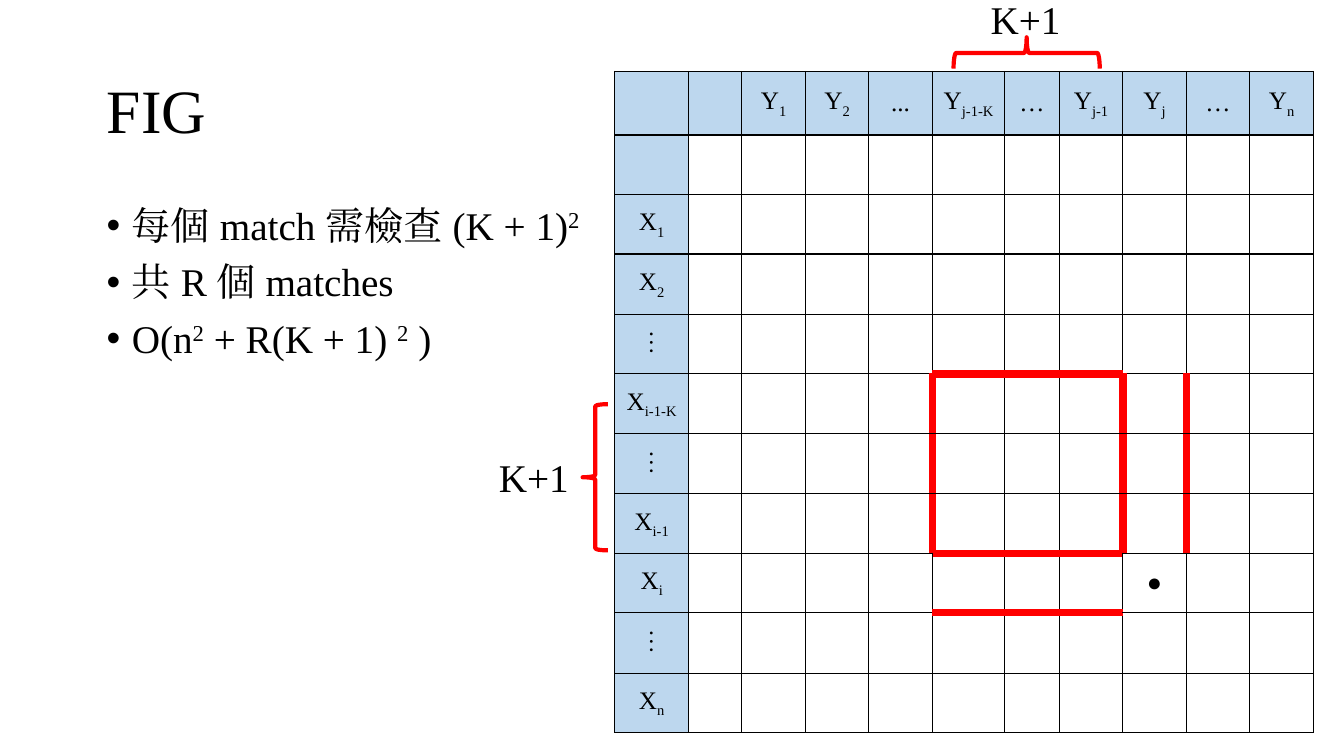
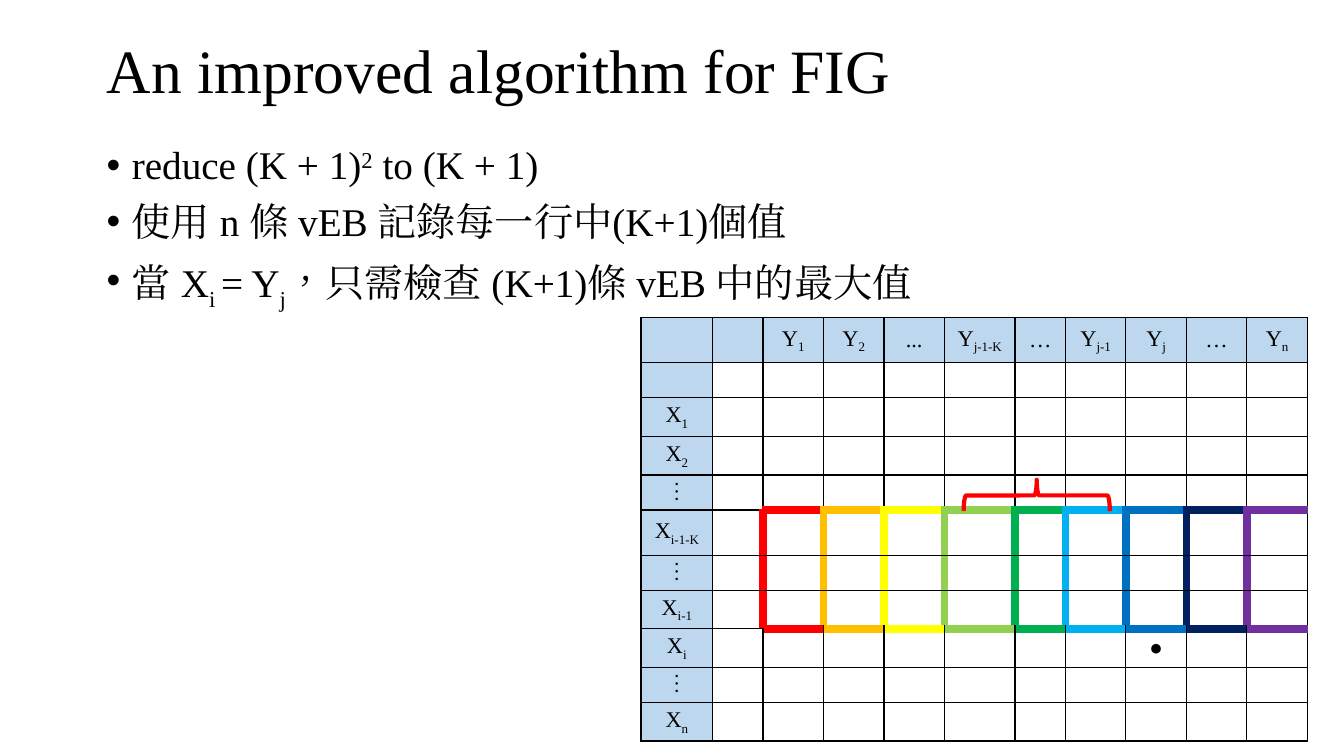
from lxml import etree
from pptx import Presentation
from pptx.dml.color import RGBColor
from pptx.enum.shapes import MSO_SHAPE
from pptx.enum.text import MSO_ANCHOR, MSO_AUTO_SIZE, PP_ALIGN
from pptx.oxml.ns import qn
from pptx.util import Emu, Pt

LEFT, CENTER = PP_ALIGN.LEFT, PP_ALIGN.CENTER
MIDDLE = MSO_ANCHOR.MIDDLE
BRACE = MSO_SHAPE.LEFT_BRACE
NO_FIT = MSO_AUTO_SIZE.NONE

SCALE = 9144  # EMU in one px, 100 px to the inch
FONT = "Times New Roman"
HEX = {
    "ink": "000000", "paper": "FFFFFF", "head": "BDD7EE",
    "red": "FF0000", "orange": "FFC000", "yellow": "FFFF00",
    "lime": "92D050", "green": "00B050", "sky": "00B0F0",
    "blue": "0070C0", "navy": "002060", "purple": "7030A0",
}
BANDS = ["red", "orange", "yellow", "lime", "green", "sky", "blue", "navy", "purple"]

# Text marks: ^ starts superscript, _ starts subscript, | returns to the line
SHIFTS = {"^": 30000, "_": -25000, "|": 0}
TOPS = ["", "", "Y_1", "Y_2", "...", "Y_j-1-K", "…", "Y_j-1", "Y_j", "…", "Y_n"]
SIDES = ["", "", "X_1", "X_2", "⋮", "X_i-1-K", "⋮", "X_i-1", "X_i", "⋮", "X_n"]
DOT = (8, 8)
BLOCK = range(5, 8)  # rows or columns of the K+1 window


def px(n):
    return Emu(n * SCALE)


def rgb(name):
    return RGBColor.from_string(HEX[name])


def split(text):
    """Yield (piece, baseline shift) for marked text."""
    piece, shift = "", 0
    for char in text:
        if char in SHIFTS:
            if piece:
                yield piece, shift
            piece, shift = "", SHIFTS[char]
        else:
            piece += char
    if piece:
        yield piece, shift


def write(frame, *lines, size=28, align=LEFT, bullet=False, lead=1.0, gap=0):
    for i, line in enumerate(lines):
        para = frame.paragraphs[0] if i == 0 else frame.add_paragraph()
        if bullet:
            props = para._p.get_or_add_pPr()
            props.set("marL", str(px(25)))
            props.set("indent", str(px(-25)))
            etree.SubElement(props, qn("a:buFont")).set("typeface", "Arial")
            etree.SubElement(props, qn("a:buChar")).set("char", "•")
        para.alignment = align
        para.line_spacing = lead
        para.space_before = Pt(gap if i else 0)
        for piece, shift in split(line):
            run = para.add_run()
            run.text = piece
            run.font.size = Pt(size)
            run.font.name = FONT
            run.font.color.rgb = rgb("ink")
            props = run._r.get_or_add_rPr()
            props.set("lang", "zh-TW")
            if shift:
                props.set("baseline", str(shift))
            etree.SubElement(props, qn("a:ea")).set("typeface", FONT)
        if not line:
            end = etree.SubElement(para._p, qn("a:endParaRPr"))
            end.set("sz", str(size * 100))
            etree.SubElement(end, qn("a:latin")).set("typeface", FONT)


def add_page(deck, title, top):
    page = deck.slides.add_slide(deck.slide_layouts[5])
    head = page.shapes.title
    head.left, head.top, head.width, head.height = map(px, (96, top, 1150, 145))
    frame = head.text_frame
    frame.auto_size = NO_FIT
    frame.vertical_anchor = MIDDLE
    write(frame, title, size=44, lead=0.9)
    return page


def add_text(page, x, y, w, h, *lines, wrap=True, **form):
    frame = page.shapes.add_textbox(px(x), px(y), px(w), px(h)).text_frame
    frame.word_wrap = wrap
    write(frame, *lines, **form)


def add_list(page, top, *lines):
    add_text(page, 96, top, 1150, 476, *lines, bullet=True, lead=0.9, gap=10)


def add_brace(page, x, y, w, turn=0):
    brace = page.shapes.add_shape(BRACE, px(x), px(y), px(w), px(145))
    brace.rotation = turn
    brace.shadow.inherit = False
    brace.fill.background()
    brace.line.color.rgb = rgb("red")
    brace.line.width = Pt(3)


# Grid edges: each thick line belongs to the cells on both sides of it
def across(edges, row, cols, color):
    for col in cols:
        edges[row, col, "T"] = edges[row - 1, col, "B"] = color


def down(edges, col, rows, color):
    for row in rows:
        edges[row, col, "L"] = edges[row, col - 1, "R"] = color


def set_edge(cell, side, color, width):
    line = etree.SubElement(cell._tc.get_or_add_tcPr(), qn("a:ln" + side))
    line.set("w", str(Pt(width)))
    fill = etree.SubElement(line, qn("a:solidFill"))
    etree.SubElement(fill, qn("a:srgbClr")).set("val", HEX[color])


def add_grid(page, x, y, cols, rows, size, edges):
    table = page.shapes.add_table(len(rows), len(cols), px(x), px(y),
                                  px(sum(cols)), px(sum(rows))).table
    table.first_row = table.horz_banding = False
    for col, width in zip(table.columns, cols):
        col.width = px(width)
    for r, height in enumerate(rows):
        table.rows[r].height = px(height)
        for c in range(len(cols)):
            cell = table.cell(r, c)
            for side in "LRTB":
                color = edges.get((r, c, side))
                set_edge(cell, side, color or "ink", 6 if color else 1)
            cell.fill.solid()
            cell.fill.fore_color.rgb = rgb("paper" if r and c else "head")
            cell.margin_left = cell.margin_right = px(9)
            cell.margin_top = cell.margin_bottom = px(4)
            cell.vertical_anchor = MIDDLE
            label = TOPS[c] if r == 0 else SIDES[r] if c == 0 else ""
            write(cell.text_frame, "●" if (r, c) == DOT else label,
                  size=size, align=CENTER)


def add_fig(deck):
    page = add_page(deck, "FIG", 40)
    add_list(page, 200, "每個 match 需檢查 (K + 1)^2", "共 R 個 matches",
             "O(n^2| + R(K + 1) ^2| )")
    edges = {}
    for n in (5, 8, 9):
        across(edges, n, BLOCK, "red")
        down(edges, n, BLOCK, "red")
    cols = [73, 53] + [63] * 3 + [72, 54] + [63] * 4
    rows = [63] + [59, 59, 60] * 3 + [59]
    add_grid(page, 610, 71, cols, rows, 18, edges)
    add_brace(page, 1003, -20, 31, turn=90)
    add_brace(page, 578, 401, 25)
    for x, y in ((485, 445), (973, -10)):
        add_text(page, x, y, 90, 57, "K+1", wrap=False)


def add_better(deck):
    page = add_page(deck, "An improved algorithm for FIG", 0)
    add_list(page, 140, "reduce (K + 1)^2| to (K + 1)",
             "使用 n 條 vEB 記錄每一行中(K+1)個值",
             "當 X_i |= Y_j|，只需檢查 (K+1)條 vEB 中的最大值")
    edges = {}
    for col, color in enumerate(BANDS, 2):
        down(edges, col, BLOCK, color)
        for row in (5, 8):
            across(edges, row, [col], color)
    cols = [71, 50] + [60] * 3 + [70, 50] + [60] * 4
    rows = [45, 34, 37, 37, 33, 45, 34, 37, 37, 33, 37]
    add_grid(page, 636, 315, cols, rows, 16, edges)
    add_brace(page, 1013, 419, 31, turn=90)


def main():
    deck = Presentation()
    deck.slide_width, deck.slide_height = Emu(12192000), px(750)
    add_fig(deck)
    add_better(deck)
    deck.save("out.pptx")


if __name__ == "__main__":
    main()
